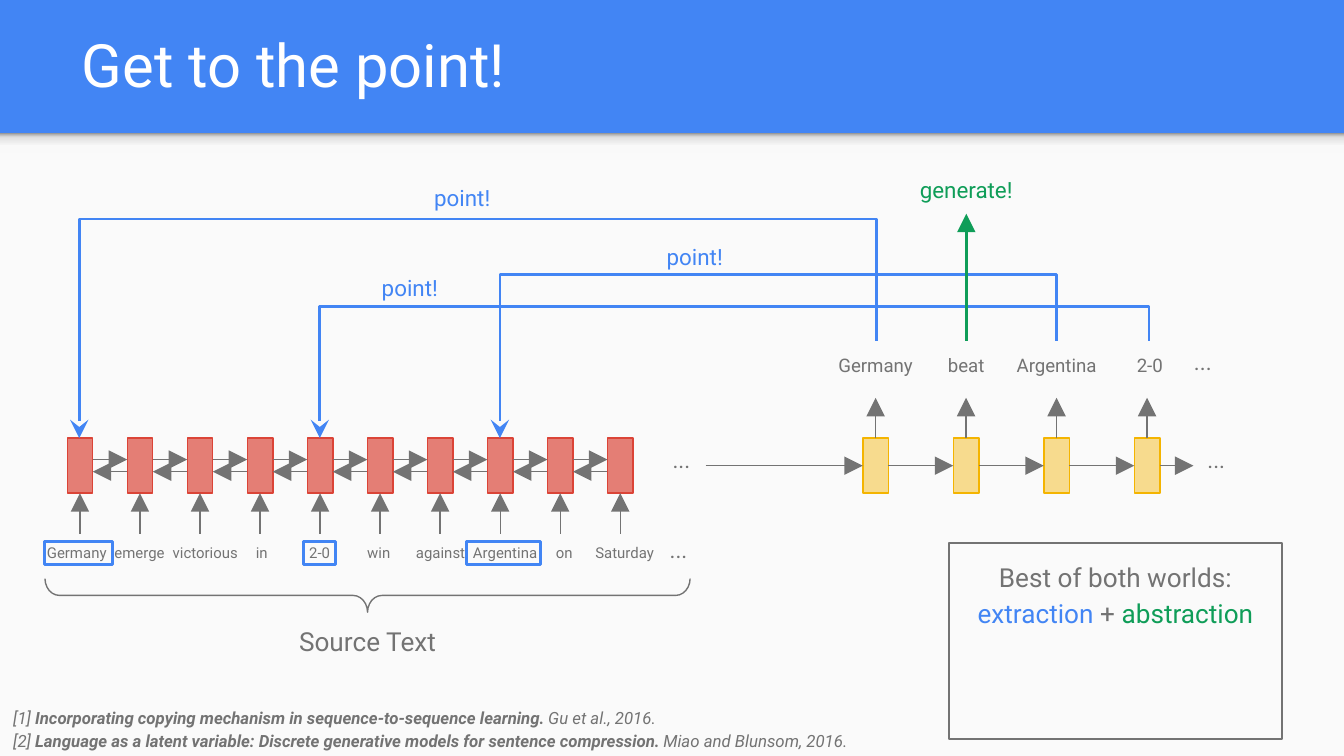
from lxml.etree import SubElement
from pptx import Presentation
from pptx.dml.color import RGBColor
from pptx.enum.shapes import MSO_CONNECTOR as Link, MSO_SHAPE as Preset
from pptx.enum.text import MSO_ANCHOR as Anchor, PP_ALIGN as Align
from pptx.oxml.ns import qn
from pptx.util import Inches, Pt

BLUE = RGBColor(0x42, 0x85, 0xF4)
GREEN = RGBColor(0x0F, 0x9D, 0x58)
RED = RGBColor(0xDB, 0x44, 0x37)
YELLOW = RGBColor(0xF4, 0xB4, 0x00)
GRAY = RGBColor(0x73, 0x73, 0x73)
PAPER = RGBColor(0xFA, 0xFA, 0xFA)
WHITE = RGBColor(0xFF, 0xFF, 0xFF)
FONT = "Roboto"
PAGE_WIDTH = 10
PAGE_HEIGHT = PAGE_WIDTH * 9 / 16
CELL_WIDTH, CELL_HEIGHT = 0.19, 0.41
SHADOW_STOPS = ((0, "F9F9F9"), (36, "F9F9F9"), (80, "DEDEDE"), (100, "999999"))
SOURCE_WORDS = (
    ("emerge", 1.04), ("victorious", 1.53), ("in", 1.95), ("2-0", 2.38), ("win", 2.82),
    ("against", 3.28), ("Argentina", 3.76), ("on", 4.2), ("Saturday", 4.65),
)


def add_block(page, preset, left, top, width, height, fill=None, line=None, weight=0.75, alpha=None):
    block = page.shapes.add_shape(preset, Inches(left), Inches(top), Inches(width), Inches(height))
    block.shadow.inherit = False
    if fill is None:
        block.fill.background()
    else:
        block.fill.solid()
        block.fill.fore_color.rgb = fill
    if alpha:
        color = block.fill._xPr.find(qn("a:solidFill"))[0]
        SubElement(color, qn("a:alpha"), val=str(alpha * 1000))
    if line is None:
        block.line.fill.background()
    else:
        block.line.color.rgb = line
        block.line.width = Pt(weight)
    return block


def add_text(page, left, top, width, height, spans, size, color=GRAY, align=Align.CENTER, spacing=1.0):
    box = page.shapes.add_textbox(Inches(left), Inches(top), Inches(width), Inches(height))
    frame = box.text_frame
    frame.word_wrap = True
    frame.margin_left = frame.margin_right = frame.margin_top = frame.margin_bottom = Inches(0.1)
    para = frame.paragraphs[0]
    para.alignment = align
    para.line_spacing = spacing
    para.font.name, para.font.size, para.font.color.rgb = FONT, Pt(size), color
    for words in [spans] if isinstance(spans, str) else spans:
        if words == "\n":
            para.add_line_break()
        else:
            para.add_run().text = words
    return box


def add_line(page, start, end, color=GRAY, weight=0.75, arrow="tailEnd", kind="triangle", route=Link.STRAIGHT):
    line = page.shapes.add_connector(route, *(Inches(value) for value in (*start, *end)))
    line.line.color.rgb = color
    line.line.width = Pt(weight)
    SubElement(line.line._get_or_add_ln(), qn(f"a:{arrow}"), type=kind, w="lg", len="lg")
    SubElement(line._element.spPr, qn("a:effectLst"))
    return line


def add_pointer(page, start, end, crest):
    pointer = add_line(page, start, end, BLUE, 1.5, "headEnd", "stealth", Link.ELBOW)
    rise, run = start[1] - end[1], end[0] - start[0]
    pointer.left = Inches((start[0] + end[0] - rise) / 2)
    pointer.top = Inches((start[1] + end[1] - run) / 2)
    pointer.width, pointer.height = Inches(rise), Inches(run)
    properties = pointer._element.spPr
    frame = properties.find(qn("a:xfrm"))
    frame.set("rot", "16200000")
    frame.attrib.pop("flipV", None)
    guides = properties.find(qn("a:prstGeom")).find(qn("a:avLst"))
    bend = round((start[1] - crest) / rise * 100000)
    SubElement(guides, qn("a:gd"), name="adj1", fmla=f"val {bend}")


def add_header(page, left, top, width, height):
    add_block(page, Preset.RECTANGLE, left, top + height, width, PAGE_HEIGHT - height, PAPER)
    shade = add_block(page, Preset.RECTANGLE, left, top + height, width, 0.15)
    shade.fill.gradient()
    shade.fill.gradient_angle = 90
    stops = shade.fill._xPr.find(qn("a:gradFill")).find(qn("a:gsLst"))
    for stop in list(stops):
        stops.remove(stop)
    for position, color in SHADOW_STOPS:
        stop = SubElement(stops, qn("a:gs"), pos=str(position * 1000))
        SubElement(stop, qn("a:srgbClr"), val=color)
    title = add_text(page, left + 0.51, top, width - 1.01, 0.84, "Get to the point!", 32, WHITE, Align.LEFT)
    title.text_frame.vertical_anchor = Anchor.BOTTOM


def add_cells(page, left, top, pitch, count, color, alpha):
    return [
        add_block(page, Preset.RECTANGLE, left + pitch * index, top, CELL_WIDTH, CELL_HEIGHT, color, color, alpha=alpha)
        for index in range(count)
    ]


def add_encoder(page, left, top):
    pitch = 4.02 / 9
    cells = add_cells(page, left, top, pitch, 10, RED, 68)
    for index, cell in enumerate(cells):
        center = left + pitch * index + CELL_WIDTH / 2
        add_line(page, (center, top + 0.71), (center, top + CELL_HEIGHT)).end_connect(cell, 2)
        if index:
            near, far = left + pitch * (index - 1) + CELL_WIDTH, left + pitch * index
            add_line(page, (near, top + 0.16), (far, top + 0.16))
            add_line(page, (far, top + 0.25), (near, top + 0.25))
    add_text(page, left + 4.4, top - 0.04, 0.34, 0.41, "...", 12)


def add_source_text(page, left, top):
    row = add_text(page, left, top, 5.38, 0.41, [], 8, align=Align.LEFT)
    para = row.text_frame.paragraphs[0]
    properties = para._p.get_or_add_pPr()
    tabs = SubElement(properties, qn("a:tabLst"))
    properties.find(qn("a:defRPr")).addprevious(tabs)
    for center in [center for _, center in SOURCE_WORDS] + [5.05]:
        SubElement(tabs, qn("a:tab"), pos=str(Inches(center - left - 0.1)), algn="ctr")
    para.add_run().text = "\t".join(["Germany"] + [word for word, _ in SOURCE_WORDS]) + "\t"
    dots = para.add_run()
    dots.text = "..."
    dots.font.size = Pt(12)
    for offset, width in ((0.08, 0.51), (2.01, 0.24), (3.22, 0.55)):
        add_block(page, Preset.RECTANGLE, left + offset, top + 0.14, width, 0.17, line=BLUE, weight=1.5)
    brace = add_block(page, Preset.LEFT_BRACE, left + 2.36, top - 1.86, 0.25, 4.8, line=GRAY)
    brace.rotation = 270
    brace.adjustments[0] = 0.43
    add_text(page, left + 1.61, top + 0.63, 1.75, 0.41, "Source Text", 14, spacing=1.15)


def add_decoder(page, left, top):
    pitch = 2.02 / 3
    middle = top + CELL_HEIGHT / 2
    cells = add_cells(page, left, top, pitch, 4, YELLOW, 43)
    add_line(page, (left - 1.17, middle), (left, middle)).end_connect(cells[0], 1)
    words = (("Germany", 0.84), ("beat", 0.49), ("Argentina", 0.84), ("2-0", 0.49))
    for index, (cell, (word, width)) in enumerate(zip(cells, words)):
        start = left + pitch * index
        center = start + CELL_WIDTH / 2
        add_line(page, (center, top), (center, top - 0.3)).begin_connect(cell, 0)
        last = index == len(cells) - 1
        reach = 0.44 if last else pitch
        arrow = add_line(page, (start + CELL_WIDTH, middle), (start + reach, middle))
        arrow.begin_connect(cell, 3)
        if not last:
            arrow.end_connect(cells[index + 1], 1)
        shift = 0.02 if last else 0
        add_text(page, center - width / 2 + shift, top - 0.71, width, 0.41, word, 10)
    add_text(page, left + 2.46, top - 0.04, 0.34, 0.41, "...", 12)
    add_text(page, left + 2.36, top - 0.77, 0.34, 0.41, "...", 12)


def add_pointers(page, top, bottom):
    for source, target, crest in ((0.59, 6.52, 1.63), (3.72, 7.86, 2.04), (2.38, 8.55, 2.28)):
        add_pointer(page, (source, bottom), (target, top), crest)
    add_line(page, (7.19, top - 0.95), (7.19, top), GREEN, 1.5, "headEnd")
    labels = (
        ("point!", 2.92, 1.24, BLUE), ("point!", 2.53, 1.91, BLUE),
        ("point!", 4.65, 1.68, BLUE), ("generate!", 6.67, 1.18, GREEN),
    )
    for word, left, label_top, color in labels:
        add_text(page, left, label_top, 1.04, 0.41, word, 12, color, spacing=1.15)


def add_summary(page, left, top, width, height):
    spans = ["Best of both worlds:", "\n", "extraction", " + ", "abstraction"]
    box = add_text(page, left, top, width, height, spans, 14, spacing=1.15)
    box.line.color.rgb = GRAY
    box.line.width = Pt(0.75)
    runs = box.text_frame.paragraphs[0].runs
    runs[1].font.color.rgb = BLUE
    runs[3].font.color.rgb = GREEN


def add_references(page, left, top, width, height):
    spans = [
        "[1] ", "Incorporating copying mechanism in sequence-to-sequence learning.", " Gu et al., 2016.", "\n",
        "[2] ", "Language as a latent variable: Discrete generative models for sentence compression.",
        " Miao and Blunsom, 2016.",
    ]
    box = add_text(page, left, top, width, height, spans, 9, align=Align.LEFT, spacing=1.15)
    para = box.text_frame.paragraphs[0]
    para.font.italic = True
    for span in para.runs[1::3]:
        span.font.bold = True


def main():
    deck = Presentation()
    deck.slide_width, deck.slide_height = Inches(PAGE_WIDTH), Inches(PAGE_HEIGHT)
    page = deck.slides.add_slide(deck.slide_layouts[6])
    page.background.fill.solid()
    page.background.fill.fore_color.rgb = BLUE
    add_header(page, 0, 0, PAGE_WIDTH, 0.99)
    add_encoder(page, 0.5, 3.26)
    add_source_text(page, 0.25, 3.89)
    add_decoder(page, 6.42, 3.26)
    add_pointers(page, 2.54, 3.26)
    add_summary(page, 7.06, 4.04, 2.48, 1.46)
    add_references(page, 0, 5.14, 6.52, 0.48)
    deck.save("out.pptx")


if __name__ == "__main__":
    main()
